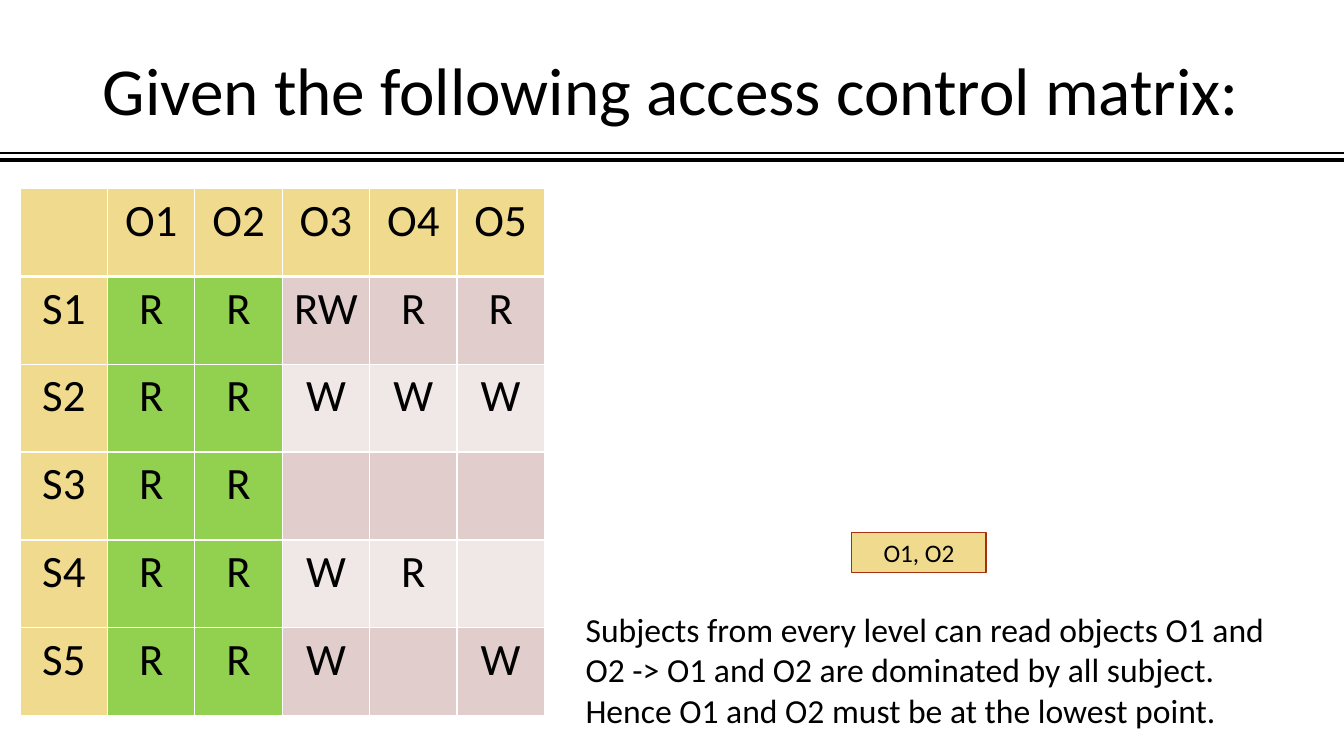
from lxml import etree
from pptx import Presentation
from pptx.dml.color import RGBColor
from pptx.enum.shapes import MSO_CONNECTOR, MSO_SHAPE
from pptx.enum.text import MSO_ANCHOR, MSO_AUTO_SIZE, PP_ALIGN
from pptx.oxml.ns import qn
from pptx.util import Inches, Pt

STRAIGHT = MSO_CONNECTOR.STRAIGHT
RECTANGLE = MSO_SHAPE.RECTANGLE
MIDDLE = MSO_ANCHOR.MIDDLE
NO_AUTOSIZE = MSO_AUTO_SIZE.NONE
LEFT, CENTER = PP_ALIGN.LEFT, PP_ALIGN.CENTER

FONT = "Calibri"
BLACK, WHITE = "000000", "FFFFFF"
GOLD, GREEN, RUST = "EFDA8E", "92D050", "A5300F"
BANDS = ("F0E8E7", "E1CDCC")
SLIDE_WIDTH = 13.33
ACCESS_MATRIX = [
    ["", "O1", "O2", "O3", "O4", "O5"],
    ["S1", "R", "R", "RW", "R", "R"],
    ["S2", "R", "R", "W", "W", "W"],
    ["S3", "R", "R", "", "", ""],
    ["S4", "R", "R", "W", "R", ""],
    ["S5", "R", "R", "W", "", "W"],
]
EXPLANATION = (
    "Subjects from every level can read objects O1 and O2 -> O1 and O2 are "
    "dominated by all subject. Hence O1 and O2 must be at the lowest point."
)


def color(value):
    """Turn a hex string into a colour."""
    return RGBColor.from_string(value)


def write_text(frame, text, size, align=LEFT):
    """Write one formatted paragraph into a text frame."""
    frame.word_wrap = True
    paragraph = frame.paragraphs[0]
    paragraph.text = text
    paragraph.alignment = align
    paragraph.font.name = FONT
    paragraph.font.size = Pt(size)
    paragraph.font.color.rgb = color(BLACK)
    return paragraph


def add_rule(page, top, weight):
    """Draw a black line across the whole page."""
    rule = page.shapes.add_connector(
        STRAIGHT, 0, Inches(top), Inches(SLIDE_WIDTH), Inches(top))
    rule.line.color.rgb = color(BLACK)
    rule.line.width = Pt(weight)
    etree.SubElement(rule._element.spPr, qn("a:effectLst"))


def set_title(page, text):
    """Place and fill the title placeholder."""
    title = page.shapes.title
    title.left, title.top = Inches(0.92), Inches(0.4)
    title.width, title.height = Inches(11.5), Inches(1.05)
    title.text_frame.auto_size = NO_AUTOSIZE
    title.text_frame.vertical_anchor = MIDDLE
    write_text(title.text_frame, text, 48).line_spacing = 0.9


def set_borders(cell, top, bottom):
    """Give a cell white borders, with the top and bottom weights in points."""
    properties = cell._tc.get_or_add_tcPr()
    weights = {"a:lnL": 1, "a:lnR": 1, "a:lnT": top, "a:lnB": bottom}
    for index, (tag, weight) in enumerate(weights.items()):
        border = etree.Element(qn(tag), w=str(Pt(weight)))
        fill = etree.SubElement(border, qn("a:solidFill"))
        etree.SubElement(fill, qn("a:srgbClr"), val=WHITE)
        properties.insert(index, border)


def cell_color(row, column):
    """Choose gold for headers, green for O1 and O2, bands elsewhere."""
    if row == 0 or column == 0:
        return GOLD
    return GREEN if column <= 2 else BANDS[row % 2]


def add_matrix(page, rows):
    """Add the access control matrix as a table."""
    table = page.shapes.add_table(
        len(rows), len(rows[0]), Inches(0.2), Inches(1.87),
        Inches(5.2), Inches(5.23)).table
    for row, values in enumerate(rows):
        for column, value in enumerate(values):
            cell = table.cell(row, column)
            write_text(cell.text_frame, value, 32, CENTER)
            cell.fill.solid()
            cell.fill.fore_color.rgb = color(cell_color(row, column))
            set_borders(cell, 3 if row == 1 else 1, 3 if row == 0 else 1)


def add_explanation(page, text):
    """Add the explanatory text beside the matrix."""
    box = page.shapes.add_textbox(
        Inches(5.71), Inches(5.99), Inches(7), Inches(1.31))
    write_text(box.text_frame, text, 24)


def add_level(page, text):
    """Add the box for one level of the lattice."""
    level = page.shapes.add_shape(
        RECTANGLE, Inches(8.45), Inches(5.28), Inches(1.33), Inches(0.4))
    level.shadow.inherit = False
    level.fill.solid()
    level.fill.fore_color.rgb = color(GOLD)
    level.line.color.rgb = color(RUST)
    level.line.width = Pt(0.75)
    level.text_frame.vertical_anchor = MIDDLE
    write_text(level.text_frame, text, 18, CENTER)


def main():
    """Build the slide and save it."""
    deck = Presentation()
    deck.slide_width, deck.slide_height = Inches(SLIDE_WIDTH), Inches(7.5)
    page = deck.slides.add_slide(deck.slide_layouts[5])
    add_rule(page, 1.59, 3)
    add_rule(page, 1.52, 1)
    set_title(page, "Given the following access control matrix:")
    add_matrix(page, ACCESS_MATRIX)
    add_explanation(page, EXPLANATION)
    add_level(page, "O1, O2")
    deck.save("out.pptx")


main()
